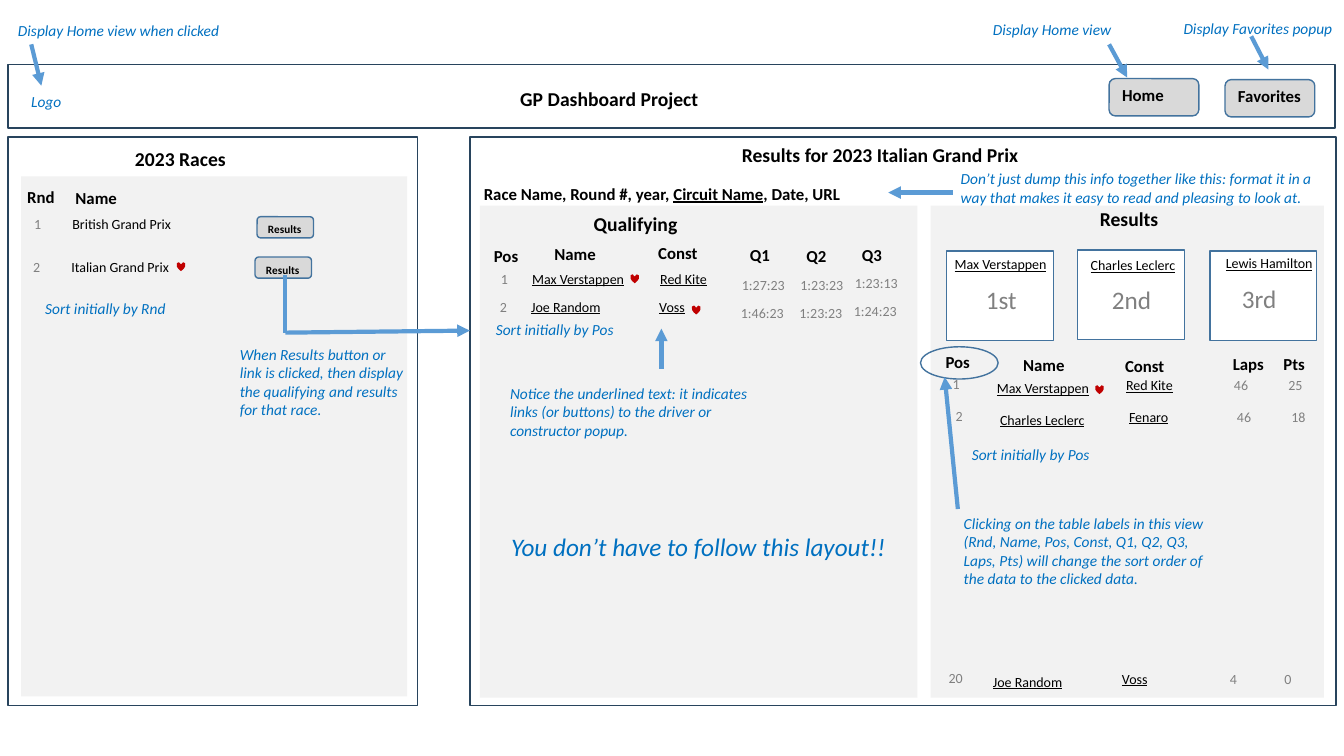
from dataclasses import dataclass

from lxml import etree
from pptx import Presentation
from pptx import util as u
from pptx.dml.color import RGBColor
from pptx.enum import shapes, text
from pptx.oxml.ns import qn

PX = u.Inches(1) // 100
SHAPE = shapes.MSO_SHAPE


@dataclass(frozen=True)
class Theme:
    font: str = "Calibri"
    panel: str = "F2F2F2"
    button: str = "D9D9D9"
    white: str = "FFFFFF"
    frame: str = "28445D"
    outline: str = "43739E"
    arrow: str = "5B9BD5"
    heart: str = "C00000"


THEME = Theme()
BLACK, GREY, BLUE = "000000", "808080", "0070C0"

# Style name: font size, colour, font attributes, one-line box height in px
STYLES = {
    "title": (14, BLACK, {"bold": True}, 34),
    "label": (12, BLACK, {"bold": True}, 30),
    "tiny": (8, BLACK, {"bold": True}, 18),
    "plain": (10, BLACK, {}, 27),
    "link": (10, BLACK, {"underline": True}, 27),
    "value": (10, GREY, {}, 27),
    "rank": (18, GREY, {}, 40),
    "note": (11, BLUE, {"italic": True}, 29),
    "shout": (18, BLUE, {"italic": True}, 40),
}
LINE_STEP = 18

# Table columns: left, top of the first row, width, style
RACE_COLUMNS = [(24, 209, 65, "value"), (62, 209, 180, "plain")]
QUALIFYING_COLUMNS = [
    (487, 263, 33, "value"), (518, 263, 140, "link"), (645, 263, 74, "link"),
    (726, 269, 75, "value"), (784, 269, 75, "value"), (838, 267, 75, "value")]
RESULT_COLUMNS = [
    (935, 368, 43, "value"), (979, 372, 140, "link"), (1107, 369, 74, "link"),
    (1214, 369, 40, "value"), (1268, 369, 40, "value")]

# Table rows: shift right and down from the first row, then the cells
RACES = [(0, 0, "1", "British Grand Prix"), (-1, 43, "2", "Italian Grand Prix")]
QUALIFYING = [
    (0, 0, "1", "Max Verstappen", "Red Kite", "1:27:23", "1:23:23", "1:23:13"),
    (-1, 28, "2", "Joe Random", "Voss", "1:46:23", "1:23:23", "1:24:23")]
RESULTS = [
    (0, 0, "1", "Max Verstappen", "Red Kite", "46", "25"),
    (3, 31, "2", "Charles Leclerc", "Fenaro", "46", "18"),
    (-4, 291, "20", "Joe Random", "Voss", "4", "0")]

LABELS = [
    (17, 180, 48, "Rnd"), (65, 181, 189, "Name"),
    (480, 239, 50, "Pos"), (540, 237, 70, "Name"), (643, 236, 70, "Const"),
    (734, 238, 50, "Q1"), (790, 239, 50, "Q2"), (845, 238, 50, "Q3"),
    (928, 344, 50, "Pos"), (1005, 347, 70, "Name"), (1106, 348, 70, "Const"),
    (1213, 346, 64, "Laps"), (1263, 346, 50, "Pts")]
HEADINGS = [
    (124, 141, 175, "2023 Races"), (579, 205, 175, "Qualifying"),
    (1081, 200, 175, "Results"),
    (726, 137, 323, "Results for 2023 Italian Grand Prix")]

# Podium: box left and top, name left and top, rank left and top, name, rank
PODIUM = [
    (939, 249, 937, 249, 968, 277, "Max Verstappen", "1st"),
    (1069, 248, 1072, 250, 1093, 277, "Charles Leclerc", "2nd"),
    (1200, 249, 1206, 248, 1222, 276, "Lewis Hamilton", "3rd")]

NOTES = [
    (8, 16, 258, 1, "Display Home view when clicked"),
    (975, 15, 258, 1, "Display Home view"),
    (1164, 14, 170, 1, "Display Favorites popup"),
    (21, 86, 136, 1, "Logo"),
    (35, 292, 183, 1, "Sort initially by Rnd"),
    (482, 313, 183, 1, "Sort initially by Pos"),
    (954, 437, 183, 1, "Sort initially by Pos"),
    (228, 337, 183, 4, "When Results button or link is clicked, then display "
     "the qualifying and results for that race."),
    (943, 163, 387, 2, "Don’t just dump this info together like this: format it "
     "in a way that makes it easy to read and pleasing to look at."),
    (496, 376, 258, 3, "Notice the underlined text: it indicates links "
     "(or buttons) to the driver or constructor popup."),
    (946, 505, 258, 4, "Clicking on the table labels in this view (Rnd, Name, "
     "Pos, Const, Q1, Q2, Q3, Laps, Pts) will change the sort order of the "
     "data to the clicked data.")]

ARROWS = [
    (283, 330, 466, 328), (945, 191, 881, 191), (656, 366, 656, 326),
    (950, 505, 937, 374), (1100, 44, 1118, 77), (1241, 36, 1258, 69),
    (31, 44, 41, 85)]
HEARTS = [(625, 272), (686, 303), (1086, 382), (175, 260)]


def emu(*lengths):
    return [n * PX for n in lengths]


def format_run(r, style, **extra):
    size, color, attrs, _ = STYLES[style]
    values = {"name": THEME.font, "size": u.Pt(size), **attrs, **extra}
    for name, value in values.items():
        setattr(r.font, name, value)
    r.font.color.rgb = RGBColor.from_string(color)


def format_frame(tf):
    values = {"word_wrap": True, "auto_size": text.MSO_AUTO_SIZE.NONE,
              "vertical_anchor": text.MSO_ANCHOR.TOP}
    for name, value in values.items():
        setattr(tf, name, value)


def add_text(sps, x, y, w, content, style, lines=1):
    height = STYLES[style][3] + (lines - 1) * LINE_STEP
    tf = sps.add_textbox(*emu(x, y, w, height)).text_frame
    format_frame(tf)
    r = tf.paragraphs[0].add_run()
    r.text = content
    format_run(r, style)
    return tf.paragraphs[0]


def add_box(sps, kind, x, y, w, h, fill=None, line=None):
    sp = sps.add_shape(kind, *emu(x, y, w, h))
    sp.shadow.inherit = False
    if fill:
        sp.fill.solid()
        sp.fill.fore_color.rgb = RGBColor.from_string(fill)
    else:
        sp.fill.background()
    if line:
        sp.line.color.rgb = RGBColor.from_string(line)
        sp.line.width = u.Pt(1)
    else:
        sp.line.fill.background()


def add_button(sps, x, y, w, h, label, style):
    add_box(sps, SHAPE.ROUNDED_RECTANGLE, x, y, w, h, THEME.button, THEME.outline)
    add_text(sps, x + (1 if style == "tiny" else 3), y + 1, w, label, style)


def add_line(sps, x1, y1, x2, y2, arrow=True):
    ln = sps.add_connector(shapes.MSO_CONNECTOR.STRAIGHT, *emu(x1, y1, x2, y2))
    ln.line.color.rgb = RGBColor.from_string(THEME.arrow)
    ln.line.width = u.Pt(3)
    if arrow:
        etree.SubElement(ln.line._get_or_add_ln(), qn("a:tailEnd"), type="triangle")
    etree.SubElement(ln._element.spPr, qn("a:effectLst"))


def add_rows(sps, columns, rows):
    for dx, dy, *cells in rows:
        for (x, y, w, style), content in zip(columns, cells):
            add_text(sps, x + dx, y + dy, w, content, style)


def add_title(s, content):
    sp = s.shapes.title
    sp.left, sp.top, sp.width, sp.height = emu(506, 81, 264, 34)
    format_frame(sp.text_frame)
    p = sp.text_frame.paragraphs[0]
    p.alignment = text.PP_ALIGN.LEFT
    r = p.add_run()
    r.text = content
    format_run(r, "title")


def add_panels(sps):
    for x, y, w, h in [(923, 204, 390, 488), (21, 175, 383, 516), (476, 204, 434, 488)]:
        add_box(sps, SHAPE.RECTANGLE, x, y, w, h, fill=THEME.panel)
    for x, y, w, h in [(466, 136, 859, 564), (8, 136, 406, 564), (8, 64, 1316, 63)]:
        add_box(sps, SHAPE.RECTANGLE, x, y, w, h, line=THEME.frame)


def add_podium(sps):
    for x, y, name_x, name_y, rank_x, rank_y, name, rank in PODIUM:
        add_box(sps, SHAPE.RECTANGLE, x, y, 106, 89, THEME.white, THEME.outline)
        add_text(sps, name_x, name_y, 127, name, "link")
        add_text(sps, rank_x, rank_y, 70, rank, "rank")


def add_race_summary(sps):
    p = add_text(sps, 470, 177, 418, "Race Name, Round #, year, ", "label")
    for content, underline in [("Circuit Name", True), (", Date, URL", False)]:
        r = p.add_run()
        r.text = content
        format_run(r, "label", underline=underline)


def main():
    prs = Presentation()
    prs.slide_width, prs.slide_height = emu(1333, 750)
    s = prs.slides.add_slide(prs.slide_layouts[5])
    sps = s.shapes
    add_title(s, "GP Dashboard Project")
    add_panels(sps)
    add_podium(sps)
    add_race_summary(sps)
    for columns, rows in [(RACE_COLUMNS, RACES), (QUALIFYING_COLUMNS, QUALIFYING),
                          (RESULT_COLUMNS, RESULTS)]:
        add_rows(sps, columns, rows)
    for style, items in [("title", HEADINGS), ("label", LABELS)]:
        for x, y, w, content in items:
            add_text(sps, x, y, w, content, style)
    for x, y in [(255, 215), (253, 255)]:
        add_button(sps.add_group_shape().shapes, x, y, 56, 21, "Results", "tiny")
    for x, y, label in [(1100, 78, "Home"), (1215, 79, "Favorites")]:
        add_button(sps, x, y, 89, 37, label, "label")
    add_box(sps, SHAPE.OVAL, 913, 344, 77, 32, line=THEME.outline)
    for x, y, w, lines, content in NOTES:
        add_text(sps, x, y, w, content, "note", lines)
    add_text(sps, 497, 522, 399, "You don’t have to follow this layout!!", "shout")
    add_line(sps, 283, 273, 283, 330, arrow=False)
    for ends in ARROWS:
        add_line(sps, *ends)
    for x, y in HEARTS:
        add_box(sps, SHAPE.HEART, x, y, 9, 9, fill=THEME.heart)
    prs.save("out.pptx")


if __name__ == "__main__":
    main()
